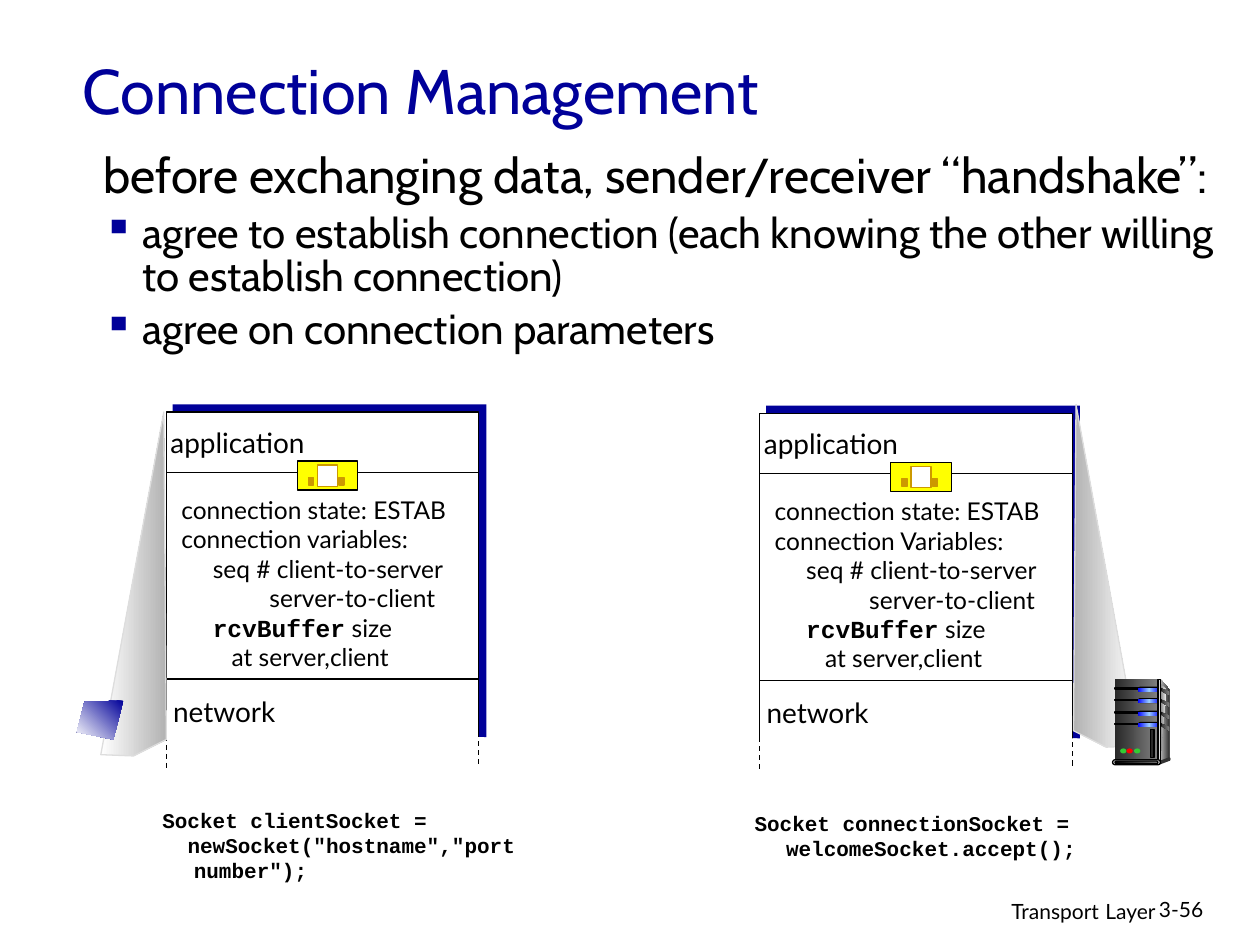
from copy import deepcopy

from lxml.etree import SubElement
from pptx import Presentation
from pptx.dml.color import RGBColor
from pptx.enum.dml import MSO_LINE
from pptx.enum.shapes import MSO_CONNECTOR, MSO_SHAPE
from pptx.enum.text import MSO_ANCHOR, PP_ALIGN
from pptx.oxml.ns import qn
from pptx.util import Inches, Pt

COLORS = {
    "black": "000000", "white": "FFFFFF", "navy": "000099", "yellow": "FFFF00",
    "gold": "CC9900", "silver": "B2B2B2", "pale": "DDDDDD", "gray": "808080",
    "dark": "333333", "coal": "292929", "mist": "F8F8F8", "blue": "0000FF",
    "sky": "99CCFF", "green": "33CC33", "red": "FF0000",
}


def paint(shape, fill, line=None, angle=0):
    shape.shadow.inherit = False
    names = fill.split()
    if len(names) == 1:
        shape.fill.solid()
        shape.fill.fore_color.rgb = RGBColor.from_string(COLORS[fill])
    else:
        shape.fill.gradient()
        shape.fill.gradient_angle = angle
        stop_list = shape._element.spPr.find(qn("a:gradFill")).find(qn("a:gsLst"))
        while len(stop_list) < len(names):
            stop_list.append(deepcopy(stop_list[0]))
        for index, (stop, name) in enumerate(zip(shape.fill.gradient_stops, names)):
            stop.color.rgb = RGBColor.from_string(COLORS[name])
            stop.position = index / (len(names) - 1)
    if line:
        shape.line.color.rgb = RGBColor.from_string(COLORS[line])
        shape.line.width = Pt(0.75)
    else:
        shape.line.fill.background()


def write(place, paragraphs, size, font="Lato", color="black", bold=False,
          align=PP_ALIGN.LEFT, wrap=True):
    box = page.shapes.add_textbox(*[Inches(value) for value in place])
    box.text_frame.word_wrap = wrap
    for index, (runs, left, hanging) in enumerate(paragraphs):
        para = box.text_frame.paragraphs[0] if index == 0 else box.text_frame.add_paragraph()
        para.alignment = align
        properties = para._p.get_or_add_pPr()
        properties.set("marL", str(Inches(left)))
        properties.set("indent", str(Inches(hanging)))
        for text, *style in runs:
            span = para.add_run()
            span.text = text
            span.font.size = Pt(style[0] if style else size)
            span.font.name = style[1] if style else font
            span.font.bold = style[2] if style else bold
            span.font.color.rgb = RGBColor.from_string(COLORS[color])
    return box


deck = Presentation()
deck.slide_width, deck.slide_height = Inches(10), Inches(7.5)
page = deck.slides.add_slide(deck.slide_layouts[6])
RECT, ROUND, OVAL = MSO_SHAPE.RECTANGLE, MSO_SHAPE.ROUNDED_RECTANGLE, MSO_SHAPE.OVAL

write((6.1, 7.05, 3.17, 0.31),
      [([("Transport",), (" ", 14, "Lato", False), ("Layer",)], 0, 0)], 12, align=PP_ALIGN.RIGHT)
write((9.1, 7.07, 0.74, 0.3), [([("3-56",)], 0, 0)], 12)

title = write((0.56, 0.21, 8.5, 1), [([("Connection Management",)], 0, 0)], 36, "Cabin", "navy")
title.text_frame.vertical_anchor = MSO_ANCHOR.MIDDLE

body = write((0.72, 1.17, 9.12, 2.39), [
    ([("before exchanging data, sender/receiver “handshake”:", 28, "Cabin", False)], 0.31, -0.31),
    ([("agree to establish connection (each knowing the other willing to establish connection)",)],
     0.31, -0.31),
    ([("agree on connection parameters",)], 0.31, -0.31),
], 24, "Cabin")
for index, para in enumerate(body.text_frame.paragraphs):
    para.line_spacing = 0.85
    if index:
        para.space_before = Pt(6)
        properties = para._p.get_or_add_pPr()
        bullet_color = SubElement(properties, qn("a:buClr"))
        SubElement(bullet_color, qn("a:srgbClr")).set("val", COLORS["navy"])
        SubElement(properties, qn("a:buChar")).set("char", "▪")

hosts = [
    (0, 0, "variables", 0.7, "white silver",
     [(0.8, 5.99), (1.3, 3.27), (1.32, 5.87), (1.06, 6)]),
    (4.71, 0.01, "Variables", 0.75, "silver white",
     [(9.03, 5.92), (8.54, 3.21), (8.52, 5.8), (8.78, 5.93)]),
]
for across, down, variables, server_indent, cone_fill, cone_points in hosts:
    for left, top, width, height, fill, line in [
        (1.37, 3.21, 2.49, 2.64, "navy", None),
        (1.32, 3.27, 2.48, 2.7, "white", "black"),
        (1.29, 5.85, 2.55, 0.2, "white", None),
    ]:
        block = page.shapes.add_shape(RECT, Inches(left + across), Inches(top + down),
                                      Inches(width), Inches(height))
        paint(block, fill, line)

    for start_x, start_y, end_x, end_y, dash in [
        (1.32, 3.75, 3.8, 3.75, None),
        (1.32, 5.39, 3.8, 5.39, None),
        (1.32, 5.84, 1.32, 6.1, MSO_LINE.DASH),
        (3.8, 5.81, 3.8, 6.07, MSO_LINE.DASH),
    ]:
        rule = page.shapes.add_connector(
            MSO_CONNECTOR.STRAIGHT, Inches(start_x + across), Inches(start_y + down),
            Inches(end_x + across), Inches(end_y + down))
        rule.line.color.rgb = RGBColor.from_string(COLORS["black"])
        rule.line.width = Pt(0.75)
        rule.line.dash_style = dash
        SubElement(rule._element.spPr, qn("a:effectLst"))

    write((1.34 + across, 3.88 + down, 2.55, 1.74), [
        ([("connection state: ESTAB",)], 0, 0),
        ([(f"connection {variables}:",)], 0, 0),
        ([("seq # client-to-server",)], 0.25, 0),
        ([("server-to-client",)], server_indent, 0),
        ([("rcvBuffer", 14, "Courier New", True), (" size",)], 0.25, 0),
        ([("at server,client",)], 0.4, 0),
    ], 14)

    for left, top, width, height, fill, line in [
        (2.36, 3.66, 0.48, 0.23, "yellow", "black"),
        (2.52, 3.69, 0.16, 0.17, "white", "gold"),
        (2.69, 3.79, 0.04, 0.06, "gold", "gold"),
        (2.45, 3.79, 0.04, 0.06, "gold", "gold"),
    ]:
        socket = page.shapes.add_shape(RECT, Inches(left + across), Inches(top + down),
                                       Inches(width), Inches(height))
        paint(socket, fill, line)

    for left, top, width, label in [(1.21, 3.33, 1.35, "application"),
                                    (1.25, 5.46, 1.06, "network")]:
        write((left + across, top + down, width, 0.37), [([(label,)], 0, 0)], 16,
              align=PP_ALIGN.CENTER, wrap=False)

    points = [(Inches(x), Inches(y)) for x, y in cone_points]
    builder = page.shapes.build_freeform(*points[0])
    builder.add_line_segments(points[1:])
    paint(builder.convert_to_shape(), cone_fill, "pale")

write((1.19, 6.36, 3.16, 0.7), [
    ([("Socket clientSocket =",)], 0.25, -0.25),
    ([('newSocket("hostname","port number");',)], 0.25, -0.05),
], 12, "Courier New", bold=True)
write((5.89, 6.38, 3.16, 0.5),
      [([("Socket connectionSocket = welcomeSocket.accept();",)], 0.25, -0.25)],
      12, "Courier New", bold=True)

slots = [5.46, 5.55, 5.65, 5.74]
outlines = [
    ([(0.98, 5.56), (0.67, 5.57), (0.61, 5.81), (0.9, 5.87)], "navy white", 225),
    ([(9.21, 5.39), (9.28, 5.47), (9.28, 6.01), (9.19, 6.04)], "pale dark", 0),
    ([(9.21, 5.43), (9.26, 5.48), (9.23, 5.75), (9.21, 6.02)], "gray mist", 0),
    ([(9.2, 6.04), (9.2, 6.07), (9.28, 6.04), (9.28, 6.01)], "dark", 0),
]
outlines += [([(9.21, top), (9.28, top + 0.03), (9.28, top + 0.06), (9.21, top + 0.02)],
              "coal gray", 0) for top in slots]
for corners, fill, angle in outlines:
    points = [(Inches(x), Inches(y)) for x, y in corners]
    builder = page.shapes.build_freeform(*points[0])
    builder.add_line_segments(points[1:])
    paint(builder.convert_to_shape(), fill, angle=angle)

server_parts = [(RECT, 8.85, 5.39, 0.34, 0.65, "coal gray", None)]
for top in slots:
    server_parts += [
        (RECT, 8.85, top, 0.19, 0.01, "black", "black"),
        (ROUND, 9.03, top - 0.01, 0.19, 0.04, "black", None),
        (ROUND, 9.03, top, 0.18, 0.03, "blue sky blue", None),
    ]
server_parts += [
    (RECT, 9.19, 5.39, 0.02, 0.65, "dark pale dark", "black"),
    (OVAL, 9.27, 6.01, 0.02, 0.03, "dark", None),
    (ROUND, 8.83, 6.03, 0.38, 0.04, "pale", "black"),
    (ROUND, 8.85, 6.04, 0.34, 0.02, "black gray", "black"),
    (OVAL, 8.89, 5.94, 0.05, 0.04, "green", None),
    (OVAL, 8.94, 5.94, 0.05, 0.04, "red", None),
    (OVAL, 9, 5.94, 0.05, 0.04, "green", None),
    (RECT, 9.13, 5.79, 0.03, 0.22, "coal", "black"),
]
for kind, left, top, width, height, fill, line in server_parts:
    part = page.shapes.add_shape(kind, Inches(left), Inches(top), Inches(width), Inches(height))
    if kind == ROUND:
        part.adjustments[0] = 0.5
    paint(part, fill, line)

deck.save("out.pptx")
